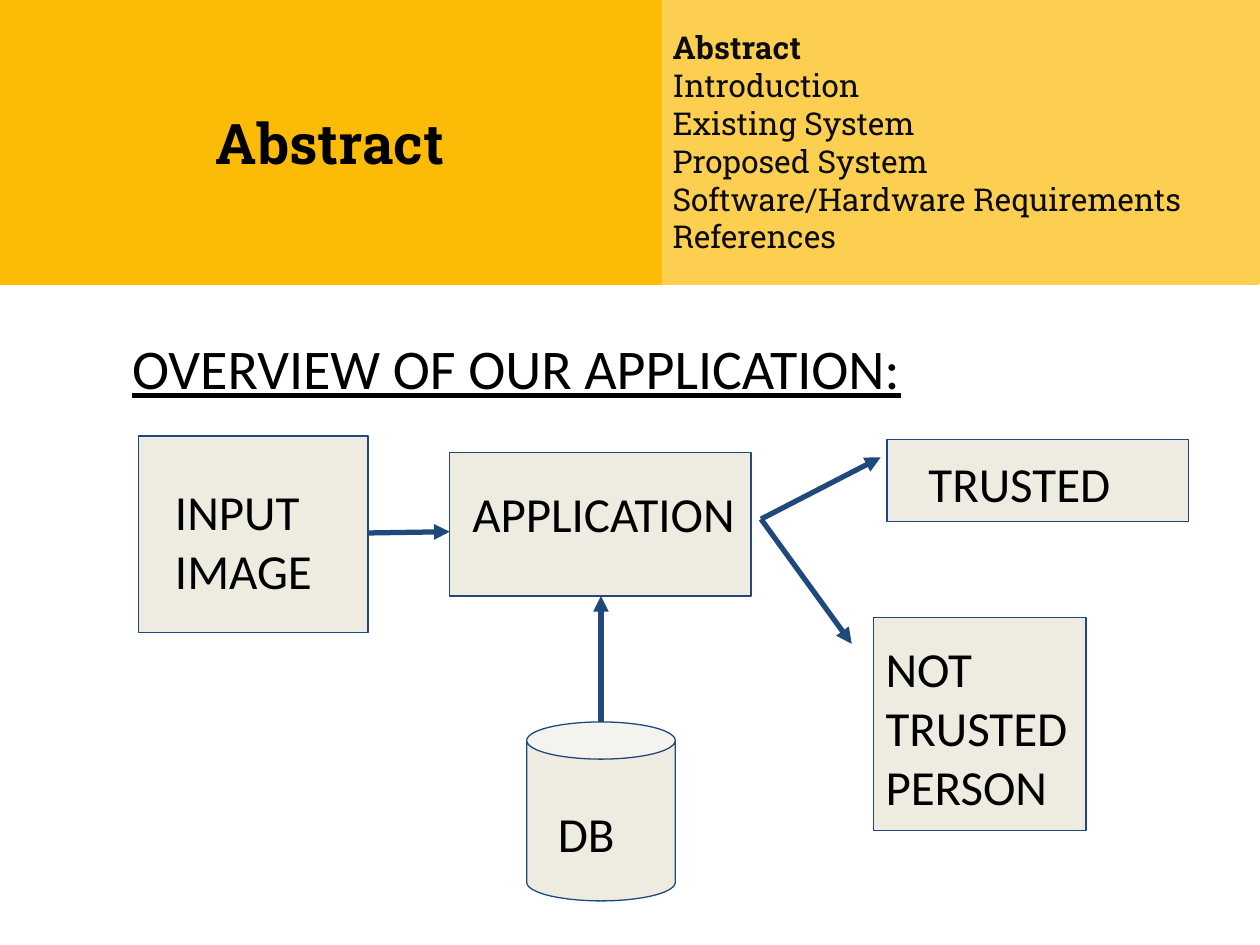
"""Build the Abstract slide: a header with an agenda above an application overview diagram."""
from lxml import etree
from pptx import Presentation
from pptx import util as u
from pptx.dml.color import RGBColor
from pptx.enum import shapes, text
from pptx.oxml.ns import qn

THEME = {
    "title_fill": "FCBB06", "agenda_fill": "FDCF51", "node_fill": "EEECE1",
    "line": "1F497D", "ink": "000000", "agenda_ink": "0C0C0C",
    "head_font": "Roboto Slab", "body_font": "Calibri",
    "title_size": 32, "agenda_size": 18, "agenda_pitch": 21.6, "label_size": 28,
    "panel_line": 2, "node_line": 0.75, "arrow_line": 3,
}

TITLE = "Abstract"
AGENDA = ["Abstract", "Introduction", "Existing System", "Proposed System",
          "Software/Hardware Requirements", "References"]
HEADING = ("OVERVIEW OF OUR APPLICATION:", (0.95, 2.55, 7.63, 0.65))
HEADER_HEIGHT, TITLE_WIDTH, AGENDA_WIDTH = 2.25, 5.24, 4.75

RECT, CAN = shapes.MSO_SHAPE.RECTANGLE, shapes.MSO_SHAPE.CAN
NODES = [
    (RECT, (1.1, 3.46, 1.82, 1.56), ["INPUT", "IMAGE"], (1.29, 3.72, 1.39, 0.65)),
    (RECT, (3.57, 3.59, 2.39, 1.14), ["APPLICATION"], (3.65, 3.74, 2.39, 0.76)),
    (CAN, (4.18, 5.73, 1.18, 1.42), ["DB"], (4.33, 6.28, 0.87, 0.65)),
    (RECT, (7.04, 3.49, 2.39, 0.65), ["TRUSTED"], (7.27, 3.5, 2.39, 0.49)),
    (RECT, (6.93, 4.9, 1.69, 1.69), ["NOT TRUSTED PERSON"], (6.93, 4.97, 1.97, 1.56)),
]
FORK = (6.04, 4.12)
ARROWS = [
    ((2.92, 4.23), (3.57, 4.22)),
    ((4.77, 5.73), (4.77, 4.73)),
    (FORK, (6.99, 3.63)),
    (FORK, (6.76, 5.11)),
]


def color(key):
    return RGBColor.from_string(THEME[key])


def inches(values):
    return [u.Inches(value) for value in values]


def paint(part, fill, line, width):
    part.fill.solid()
    part.fill.fore_color.rgb = color(fill)
    part.line.color.rgb = color(line)
    part.line.width = u.Pt(THEME[width])


def write(frame, lines, font, size, ink="ink", align=text.PP_ALIGN.LEFT):
    frame.word_wrap = True
    frame.text = "\n".join(lines)
    for paragraph in frame.paragraphs:
        paragraph.alignment = align
        paragraph.font.name = THEME[font]
        paragraph.font.size = u.Pt(THEME[size])
        paragraph.font.color.rgb = color(ink)
    return frame.paragraphs


def add_box(slide, kind, place, fill, line, width):
    box = slide.shapes.add_shape(kind, *inches(place))
    box.shadow.inherit = False
    paint(box, fill, line, width)
    return box


def add_label(slide, lines, place, size="label_size"):
    frame = slide.shapes.add_textbox(*inches(place)).text_frame
    frame.margin_left = frame.margin_right = u.Inches(0.1)
    frame.margin_top = frame.margin_bottom = u.Inches(0.1)
    return write(frame, lines, "body_font", size)


def add_arrow(slide, start, end):
    arrow = slide.shapes.add_connector(shapes.MSO_CONNECTOR.STRAIGHT, *inches(start + end))
    arrow.line.color.rgb = color("line")
    arrow.line.width = u.Pt(THEME["arrow_line"])
    etree.SubElement(arrow.line._get_or_add_ln(), qn("a:tailEnd"), type="triangle")
    etree.SubElement(arrow.element.spPr, qn("a:effectLst"))


def add_header(slide):
    agenda = add_box(slide, RECT, (TITLE_WIDTH, 0, AGENDA_WIDTH, HEADER_HEIGHT),
                     "agenda_fill", "agenda_fill", "panel_line")
    agenda.text_frame.vertical_anchor = text.MSO_ANCHOR.MIDDLE
    items = write(agenda.text_frame, AGENDA, "head_font", "agenda_size", "agenda_ink")
    for item in items:
        item.line_spacing = u.Pt(THEME["agenda_pitch"])
        item.font.bold = item.text == TITLE

    title = slide.shapes.title
    title.left, title.top, title.width, title.height = inches((0, 0, TITLE_WIDTH, HEADER_HEIGHT))
    paint(title, "title_fill", "title_fill", "panel_line")
    title.text_frame.auto_size = text.MSO_AUTO_SIZE.NONE
    title.text_frame.vertical_anchor = text.MSO_ANCHOR.MIDDLE
    heading = write(title.text_frame, [TITLE], "head_font", "title_size",
                    align=text.PP_ALIGN.CENTER)
    heading[0].font.bold = True
    agenda.element.addnext(title.element)


def main():
    deck = Presentation()
    deck.slide_width, deck.slide_height = inches((10, 7.5))
    slide = deck.slides.add_slide(deck.slide_layouts.get_by_name("Title Only"))
    add_header(slide)
    for kind, place, _, _ in NODES:
        add_box(slide, kind, place, "node_fill", "line", "node_line")
    for start, end in ARROWS:
        add_arrow(slide, start, end)
    for _, _, lines, place in NODES:
        add_label(slide, lines, place)
    heading, place = HEADING
    add_label(slide, [heading], place, "title_size")[0].font.underline = True
    deck.save("out.pptx")


if __name__ == "__main__":
    main()
